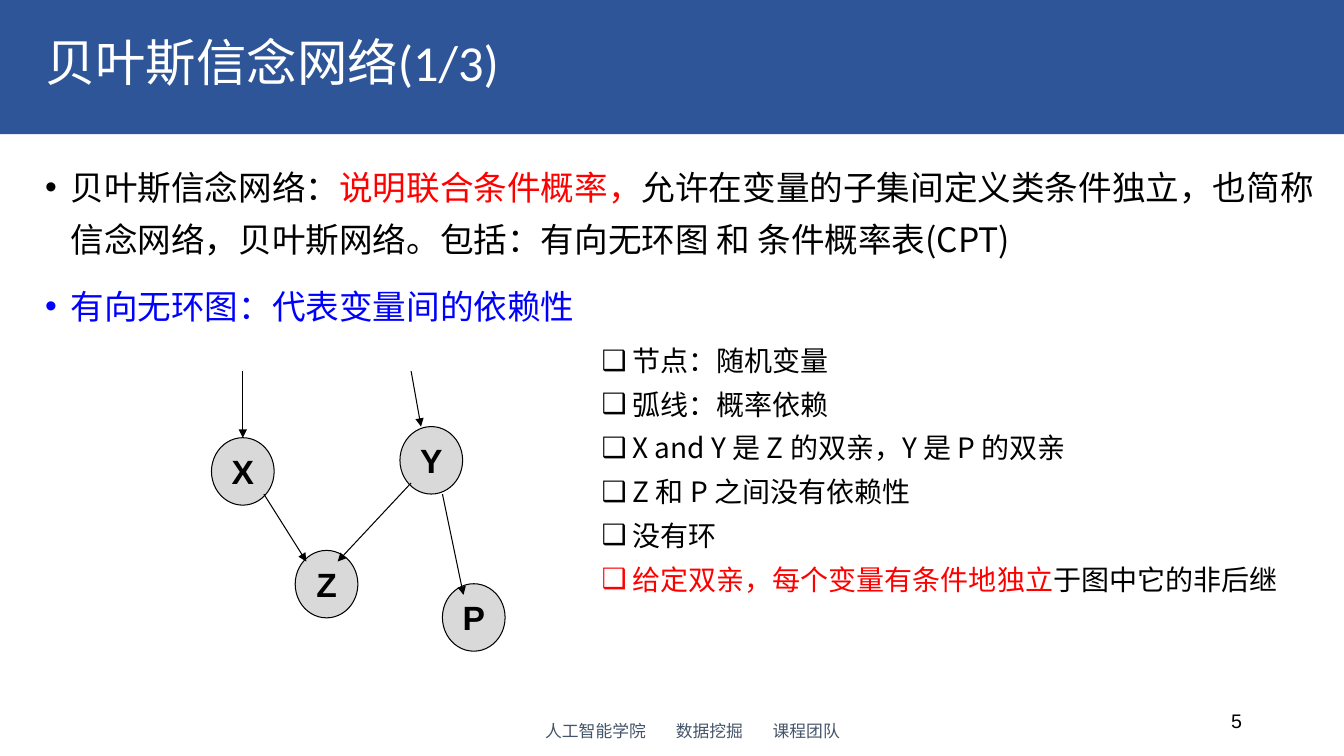
from dataclasses import dataclass

import pptx
import pptx.dml.color
import pptx.enum.shapes
import pptx.enum.text
import pptx.oxml
import pptx.oxml.ns
import pptx.util

Cm, Pt = pptx.util.Cm, pptx.util.Pt
ALIGN = pptx.enum.text.PP_ALIGN
MIDDLE = pptx.enum.text.MSO_ANCHOR.MIDDLE
SHAPE = pptx.enum.shapes.MSO_SHAPE


@dataclass(frozen=True)
class Theme:
    """Colours, fonts and type sizes of the slide."""
    band: str = "2E5597"
    white: str = "FFFFFF"
    ink: str = "000000"
    key: str = "FF0000"
    topic: str = "0000FF"
    footer: str = "44546A"
    node: str = "D9D9D9"
    cjk: str = "Noto Sans CJK SC"
    latin: str = "Calibri"
    label: str = "Arial"
    title_pt: int = 36
    body_pt: int = 24
    list_pt: int = 20
    number_pt: int = 14
    footer_pt: int = 12
    line_pt: float = 0.75


T = Theme()


def rgb(value):
    """Turn a hex string into a colour."""
    return pptx.dml.color.RGBColor.from_string(value)


def add_xml(parent, xml):
    """Append an empty DrawingML element."""
    ns = pptx.oxml.ns.nsdecls("a")
    parent.append(pptx.oxml.parse_xml(xml.replace("/>", f" {ns}/>")))


def style(r, size, font, color, bold=False):
    """Format one run, with the same East Asian font throughout."""
    r.font.size, r.font.name, r.font.bold = Pt(size), font, bold
    r.font.color.rgb = rgb(color)
    add_xml(r._r.get_or_add_rPr(), f'<a:ea typeface="{T.cjk}"/>')


def add_box(s, box, anchor=None):
    """Add a wrapping text box and return its text frame."""
    tf = s.shapes.add_textbox(*map(Cm, box)).text_frame
    tf.word_wrap = True
    if anchor is not None:
        tf.vertical_anchor = anchor
    return tf


def add_line_of_text(s, box, text, size, font, color, align=ALIGN.LEFT):
    """Add a vertically centred single line and return its paragraph."""
    p = add_box(s, box, MIDDLE).paragraphs[0]
    p.text, p.alignment = text, align
    style(p.runs[0], size, font, color)
    return p


def add_bullets(s, box, items, bullet, indent, size, spacing, gap=0):
    """Add a bulleted list whose items are lists of (text, colour, font)."""
    tf = add_box(s, box)
    for i, parts in enumerate(items):
        p = tf.paragraphs[0] if i == 0 else tf.add_paragraph()
        p.line_spacing = spacing
        p.space_before = Pt(gap if i else 0)
        pPr = p._p.get_or_add_pPr()
        pPr.set("marL", str(Cm(indent)))
        pPr.set("indent", str(-Cm(indent)))
        add_xml(pPr, f'<a:buFont typeface="{T.label}"/>')
        add_xml(pPr, f'<a:buChar char="{bullet}"/>')
        for text, color, font in parts:
            r = p.add_run()
            r.text = text
            style(r, size, font, color)


def add_header(s, box):
    """Draw the title band with its title."""
    x, y, w, h = box
    band = s.shapes.add_shape(SHAPE.RECTANGLE, *map(Cm, box))
    band.shadow.inherit = False
    band.fill.solid()
    band.fill.fore_color.rgb = rgb(T.band)
    band.line.fill.background()
    p = add_line_of_text(s, (x + 0.89, y + 0.38, w - 5.09, h - 0.84),
                         "贝叶斯信念网络(1/3)", T.title_pt, T.latin, T.white)
    p.line_spacing = 0.9


def add_definitions(s, box):
    """Write the two main statements."""
    items = [
        [("贝叶斯信念网络：", T.ink, T.cjk),
         ("说明联合条件概率，", T.key, T.cjk),
         ("允许在变量的子集间定义类条件独立，也简称信念网络，贝叶斯网络。"
          "包括：有向无环图 和 条件概率表(CPT)", T.ink, T.cjk)],
        [("有向无环图：代表变量间的依赖性", T.topic, T.latin)],
    ]
    add_bullets(s, box, items, "•", 0.64, T.body_pt, 1.3, 10)


def add_properties(s, box):
    """List what the graph expresses."""
    plain = ["节点：随机变量", "弧线：概率依赖", "X and Y 是 Z 的双亲，Y 是 P 的双亲",
             "Z 和 P 之间没有依赖性", "没有环"]
    items = [[(text, T.ink, T.cjk)] for text in plain]
    items.append([("给定双亲，每个变量有条件地独立", T.key, T.cjk),
                  ("于图中它的非后继", T.ink, T.cjk)])
    add_bullets(s, box, items, "❑", 0.78, T.list_pt, 1.3)


def add_graph(s, box):
    """Draw the directed acyclic graph."""
    x, y = box[:2]
    nodes = {"X": (0, 1.68), "Y": (4.75, 1.4), "Z": (2.11, 4.52), "P": (5.82, 5.36)}
    arrows = [
        (1.32, 3.1, 2.39, 4.8),
        (5.03, 2.82, 3.18, 4.8),
        (5.82, 3.1, 6.35, 5.64),
        (0.79, 0, 0.79, 1.68),
        (5.03, 0, 5.28, 1.4),
    ]
    for name, (dx, dy) in nodes.items():
        node = s.shapes.add_shape(SHAPE.FLOWCHART_CONNECTOR,
                                  Cm(x + dx), Cm(y + dy), Cm(1.58), Cm(1.7))
        node.shadow.inherit = False
        node.fill.solid()
        node.fill.fore_color.rgb = rgb(T.node)
        node.line.color.rgb = rgb(T.ink)
        node.line.width = Pt(T.line_pt)
        tf = node.text_frame
        tf.word_wrap, tf.vertical_anchor = False, MIDDLE
        p = tf.paragraphs[0]
        p.text, p.alignment = name, ALIGN.CENTER
        style(p.runs[0], T.body_pt, T.label, T.ink, True)
    for x1, y1, x2, y2 in arrows:
        arrow = s.shapes.add_connector(
            pptx.enum.shapes.MSO_CONNECTOR.STRAIGHT,
            Cm(x + x1), Cm(y + y1), Cm(x + x2), Cm(y + y2))
        arrow.line.color.rgb = rgb(T.ink)
        arrow.line.width = Pt(T.line_pt)
        spPr = arrow._element.spPr
        add_xml(spPr.find(pptx.oxml.ns.qn("a:ln")), '<a:tailEnd type="triangle"/>')
        add_xml(spPr, "<a:effectLst/>")


def add_footer(s, box):
    """Write the team line on centred tab stops, and the slide number."""
    x, y = box[:2]
    p = add_line_of_text(s, (x, y + 0.25, 11.43, 1.02), "\t人工智能学院\t数据挖掘\t课程团队",
                         T.footer_pt, T.latin, T.footer)
    stops = "".join(f'<a:tab pos="{Cm(c)}" algn="ctr"/>' for c in (3, 5.87, 8.31))
    ns = pptx.oxml.ns.nsdecls("a")
    p._p.get_or_add_pPr().append(
        pptx.oxml.parse_xml(f"<a:tabLst {ns}>{stops}</a:tabLst>"))
    add_line_of_text(s, (x + 12.17, y, 7.62, 1.02), "5",
                     T.number_pt, T.label, T.ink, ALIGN.RIGHT)


def main():
    """Build the slide and save it."""
    prs = pptx.Presentation()
    prs.slide_width, prs.slide_height = Cm(33.87), Cm(19.05)
    s = prs.slides.add_slide(prs.slide_layouts[6])
    add_header(s, (0, 0, 33.87, 3.38))
    add_definitions(s, (0.89, 3.78, 32.97, 13.31))
    add_graph(s, (5.33, 9.35, 7.4, 7.06))
    add_properties(s, (14.91, 8.28, 17.6, 6.93))
    add_footer(s, (11.76, 17.65, 19.79, 1.27))
    prs.save("out.pptx")


if __name__ == "__main__":
    main()
